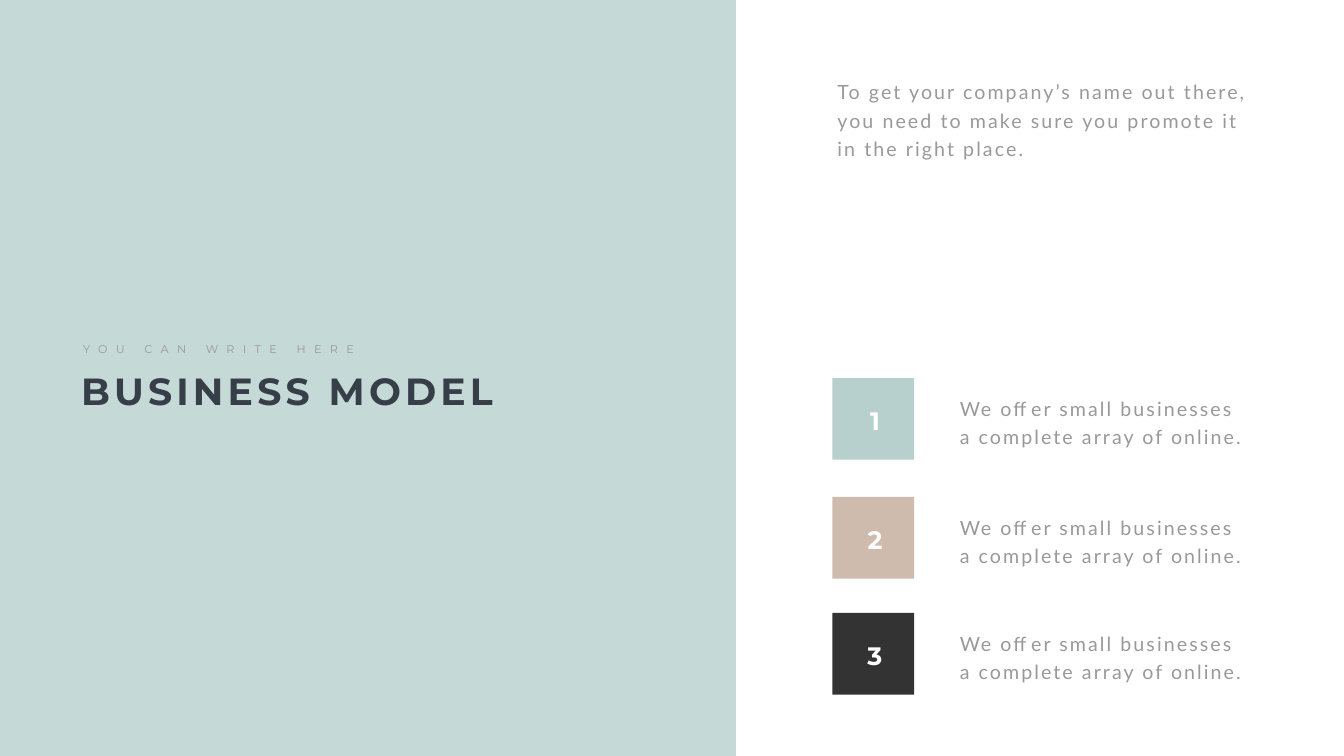
import pptx
import pptx.util
import pptx.dml.color
import pptx.enum.shapes
import pptx.enum.text
import pptx.oxml
import pptx.oxml.ns

WIDE, HIGH = pptx.util.Inches(26.66), pptx.util.Inches(15)
HUES = {
    "mint": "B7D0CD",
    "sand": "CEBBAD",
    "coal": "323332",
    "navy": "363E48",
    "gray": "999999",
    "white": "FFFFFF",
}
LEFT, TEXT, MARK = 61.93, 71.04, 63.58
ROWS = [(50, "mint"), (65.73, "sand"), (81.07, "coal")]
ITEM = "We offer small businesses a complete array of online."
INTRO = ("To get your company’s name out there, you need to make sure "
         "you promote it in the right place.")
BODY = {"size": 28, "face": "Lato", "gap": 3, "lead": 40.8}
HEAD = {"face": "Montserrat", "bold": True, "gap": 6}


def area(x, y, w, h):
    return [int(WIDE * x / 100), int(HIGH * y / 100),
            int(WIDE * w / 100), int(HIGH * h / 100)]


def color(name):
    return pptx.dml.color.RGBColor.from_string(HUES[name])


def block(slide, place, hue):
    kind = pptx.enum.shapes.MSO_SHAPE.RECTANGLE
    shape = slide.shapes.add_shape(kind, *area(*place))
    shape.shadow.inherit = False
    shape.fill.solid()
    shape.fill.fore_color.rgb = color(hue)
    shape.line.fill.background()
    return shape


def panel(slide):
    shape = block(slide, (0, 0, 54.76, 100), "mint")
    tone = shape._element.spPr.find(".//" + pptx.oxml.ns.qn("a:srgbClr"))
    alpha = pptx.oxml.parse_xml(
        f'<a:alpha {pptx.oxml.ns.nsdecls("a")} val="80000"/>')
    tone.append(alpha)
    slide.shapes._spTree.insert(2, shape._element)


def write(slide, text, place, holder=None, size=28, face="Lato", hue="gray",
          bold=False, gap=0, lead=None, align="LEFT", wrap=True):
    box = holder or slide.shapes.add_textbox(*area(*place))
    box.left, box.top, box.width, box.height = area(*place)
    frame = box.text_frame
    frame.word_wrap = wrap
    frame.auto_size = pptx.enum.text.MSO_AUTO_SIZE.NONE
    frame.vertical_anchor = pptx.enum.text.MSO_ANCHOR.TOP
    para = frame.paragraphs[0]
    if holder:
        props = para._p.get_or_add_pPr()
        props.set("marL", "0")
        props.set("indent", "0")
        props.append(pptx.oxml.parse_xml(
            f'<a:buNone {pptx.oxml.ns.nsdecls("a")}/>'))
    para.alignment = getattr(pptx.enum.text.PP_ALIGN, align)
    para.space_before = pptx.util.Pt(0)
    if lead:
        para.line_spacing = pptx.util.Pt(lead)
    run = para.add_run()
    run.text = text
    run.font.size = pptx.util.Pt(size)
    run.font.name = face
    run.font.bold = bold
    run.font.color.rgb = color(hue)
    run._r.get_or_add_rPr().set("spc", str(gap * 100))


def step(slide, count, top, hue):
    block(slide, (LEFT, top, 6.08, 10.8), hue)
    write(slide, str(count), (MARK, top + 3.27, 3.04, 4.73),
          size=36, hue="white", align="CENTER", **HEAD)
    write(slide, ITEM, (TEXT, top + 1.47, 22.17, 7.93), **BODY)


def main():
    deck = pptx.Presentation()
    deck.slide_width, deck.slide_height = WIDE, HIGH
    slide = deck.slides.add_slide(deck.slide_layouts[1])
    title, body = slide.placeholders
    panel(slide)
    write(slide, "BUSINESS MODEL", (5.66, 48.33, 32.03, 6.73), holder=title,
          size=54, hue="navy", wrap=False, **HEAD)
    write(slide, "YOU CAN WRITE HERE", (5.81, 44.93, 21.68, 2.47),
          size=16, face="Montserrat", gap=12, wrap=False)
    write(slide, INTRO, (LEFT, 9.6, 31.28, 11.8), holder=body, **BODY)
    for count, (top, hue) in enumerate(ROWS, 1):
        step(slide, count, top, hue)
    deck.save("out.pptx")


if __name__ == "__main__":
    main()
